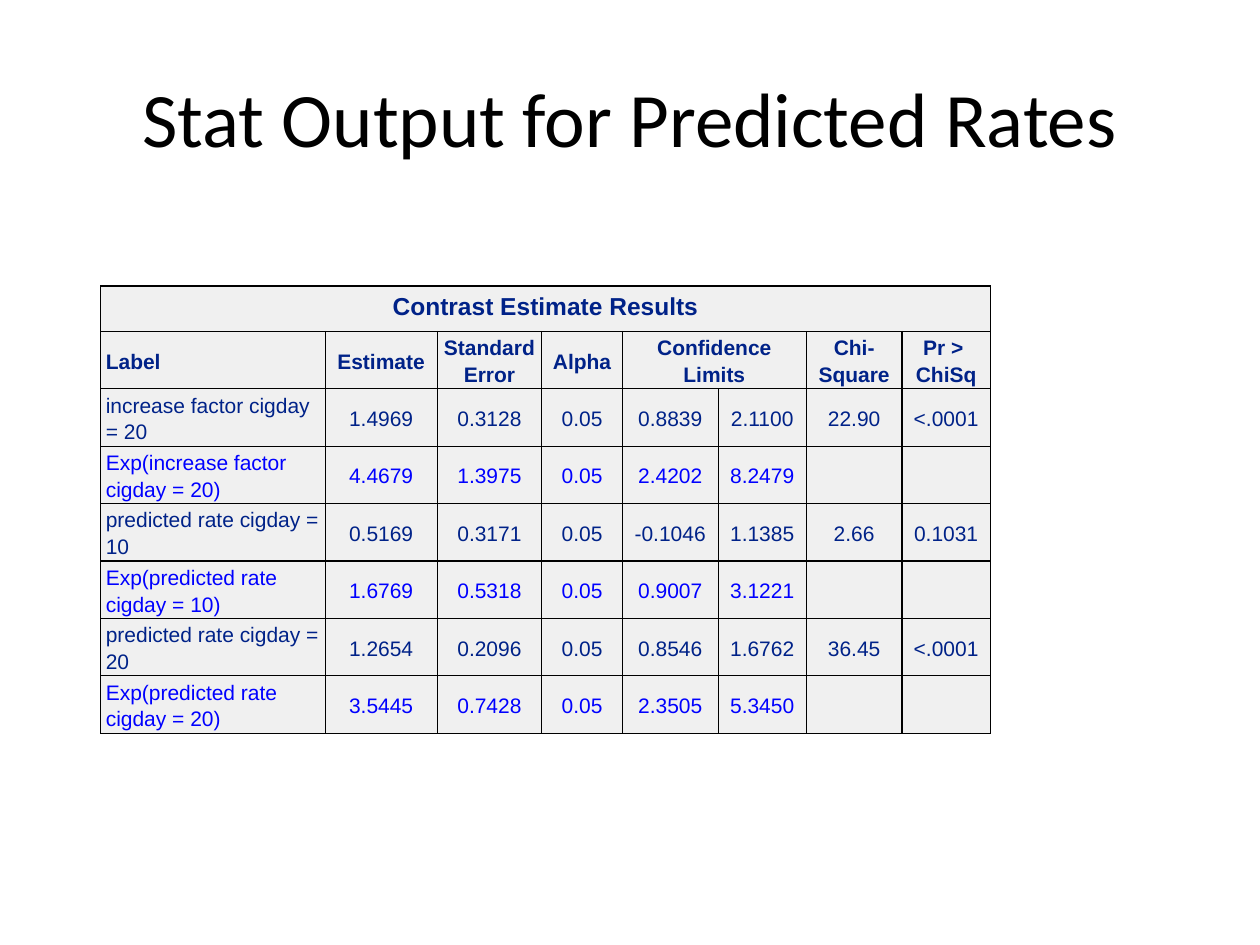
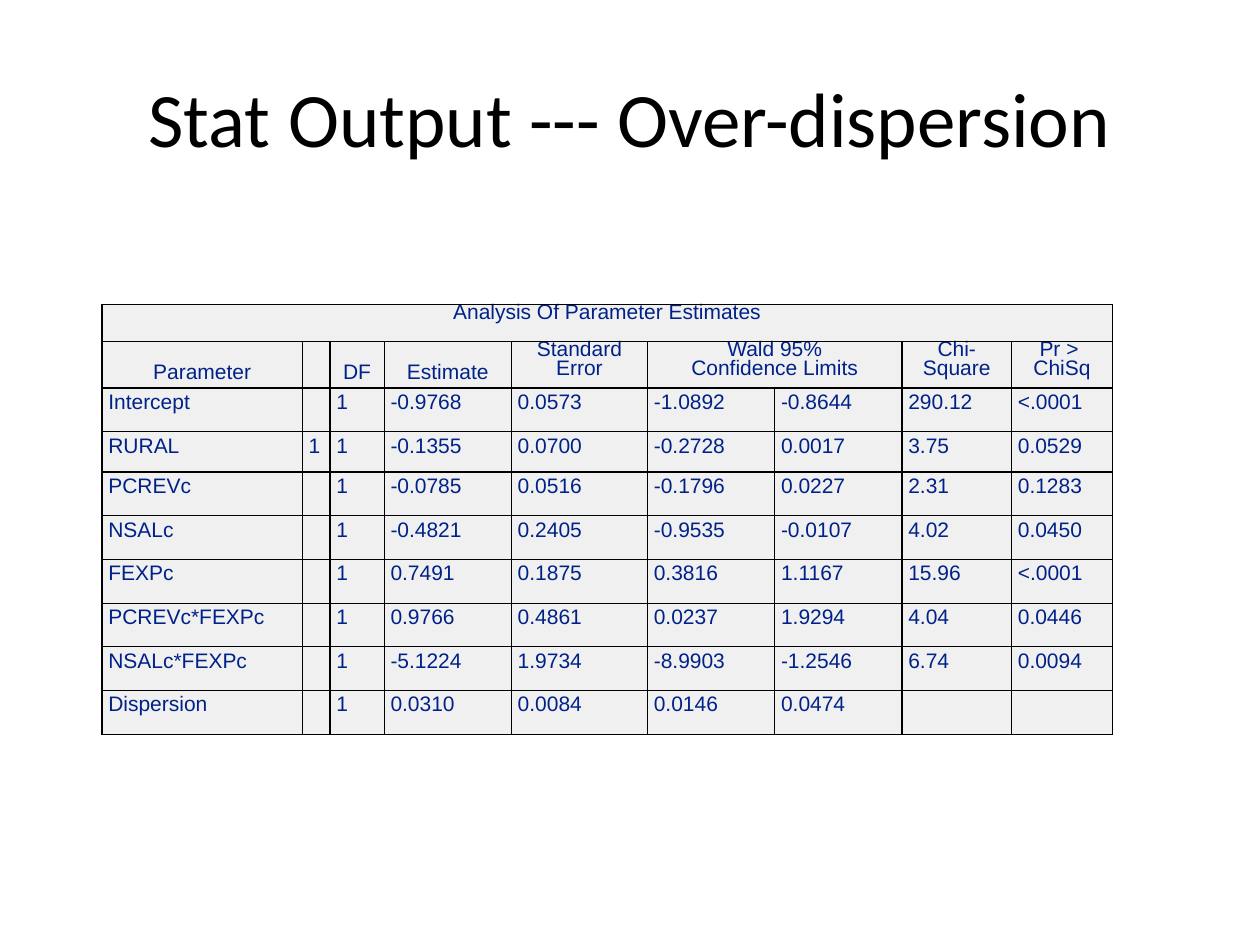
"""Builds two slides of regression results, each a title above a bordered table."""
from dataclasses import dataclass

from lxml.etree import SubElement
from pptx import Presentation
from pptx.dml.color import RGBColor
from pptx.enum.text import MSO_ANCHOR, PP_ALIGN
from pptx.oxml.ns import qn
from pptx.util import Inches, Pt


@dataclass(frozen=True)
class Theme:
    title_font: str = "Calibri"
    table_font: str = "Arial"
    title_size: int = 44
    cell_size: int = 12
    border_width: float = 0.75
    black: str = "000000"
    navy: str = "002288"
    blue: str = "0000FF"
    panel: str = "F0F0F0"


@dataclass(frozen=True)
class TableLook:
    caption_size: int
    caption_spacing: float
    line_spacing: float
    heading_bold: bool
    anchor: MSO_ANCHOR
    value_align: PP_ALIGN
    body_inset: tuple
    heading_inset: tuple = (0.04, 0)


class SlideBuilder:
    def __init__(self, deck, theme):
        self.deck = deck
        self.theme = theme
        self.unit = deck.slide_width / 100
        self.page = None

    def length(self, units):
        return round(units * self.unit)

    def style(self, paragraph, font, size, color, bold=False):
        for span in paragraph.runs:
            span.font.name = font
            span.font.size = Pt(size)
            span.font.bold = bold
            span.font.color.rgb = RGBColor.from_string(color)

    def titled_page(self, text):
        self.page = self.deck.slides.add_slide(self.deck.slide_layouts[5])
        box = self.page.shapes.title
        box.left, box.top, box.width, box.height = map(self.length, (5, 3, 90, 12.5))
        frame = box.text_frame
        frame.text = text
        frame.vertical_anchor = MSO_ANCHOR.MIDDLE
        paragraph = frame.paragraphs[0]
        paragraph.alignment = PP_ALIGN.CENTER
        self.style(paragraph, self.theme.title_font, self.theme.title_size, self.theme.black)

    def border(self, cell):
        properties = cell._tc.get_or_add_tcPr()
        for side in ("lnL", "lnR", "lnT", "lnB"):
            line = SubElement(properties, qn(f"a:{side}"), w=str(Pt(self.theme.border_width)))
            fill = SubElement(line, qn("a:solidFill"))
            SubElement(fill, qn("a:srgbClr"), val=self.theme.black)

    def cell(self, cell, text, look, inset, align, spacing, size, color, bold=False):
        self.border(cell)
        cell.fill.solid()
        cell.fill.fore_color.rgb = RGBColor.from_string(self.theme.panel)
        cell.margin_left = cell.margin_right = Inches(inset[0])
        cell.margin_top = cell.margin_bottom = Inches(inset[1])
        cell.vertical_anchor = look.anchor
        cell.text_frame.text = text
        for paragraph in cell.text_frame.paragraphs:
            paragraph.alignment = align
            paragraph.line_spacing = spacing
            self.style(paragraph, self.theme.table_font, size, color, bold)
            if not text:
                SubElement(paragraph._p, qn("a:endParaRPr"), sz=str(size * 100))

    def table(self, place, widths, fixed_heights, caption, headings, records, look):
        left, top, height = place
        rows = [[caption], headings, *records]
        shared = (height - sum(fixed_heights.values())) / (len(rows) - len(fixed_heights))
        area = map(self.length, (left, top, sum(widths), height))
        table = self.page.shapes.add_table(len(rows), len(widths), *area).table
        table.first_row = table.horz_banding = False
        for column, width in zip(table.columns, widths):
            column.width = self.length(width)
        for index, texts in enumerate(rows):
            table.rows[index].height = self.length(fixed_heights.get(index, shared))
            texts = texts + [""] * (len(widths) - len(texts))
            is_heading = index < 2
            color = self.theme.blue if texts[0].startswith("Exp(") else self.theme.navy
            for position, text in enumerate(texts):
                align = PP_ALIGN.CENTER if is_heading else look.value_align
                if position == 0 and index and look.value_align == PP_ALIGN.CENTER:
                    align = PP_ALIGN.LEFT
                self.cell(
                    table.cell(index, position), text, look,
                    look.heading_inset if is_heading else look.body_inset, align,
                    look.line_spacing if index else look.caption_spacing,
                    self.theme.cell_size if index else look.caption_size,
                    color, is_heading and look.heading_bold)
        table.cell(0, 0).merge(table.cell(0, len(widths) - 1))
        limits = next(i for i, text in enumerate(headings) if "Limits" in text)
        table.cell(1, limits).merge(table.cell(1, limits + 1))
        return table


def split_rows(text):
    return [line.split("|") for line in text.strip().splitlines()]


P_VALUE = "Pr > \nChiSq"

RATES = """
increase factor cigday = 20|1.4969|0.3128|0.05|0.8839|2.1100|22.90|<.0001
Exp(increase factor cigday = 20)|4.4679|1.3975|0.05|2.4202|8.2479
predicted rate cigday = 10|0.5169|0.3171|0.05|-0.1046|1.1385|2.66|0.1031
Exp(predicted rate cigday = 10)|1.6769|0.5318|0.05|0.9007|3.1221
predicted rate cigday = 20|1.2654|0.2096|0.05|0.8546|1.6762|36.45|<.0001
Exp(predicted rate cigday = 20)|3.5445|0.7428|0.05|2.3505|5.3450
"""

PARAMETERS = """
Intercept||1|-0.9768|0.0573|-1.0892|-0.8644|290.12|<.0001
RURAL|1|1|-0.1355|0.0700|-0.2728|0.0017|3.75|0.0529
PCREVc||1|-0.0785|0.0516|-0.1796|0.0227|2.31|0.1283
NSALc||1|-0.4821|0.2405|-0.9535|-0.0107|4.02|0.0450
FEXPc||1|0.7491|0.1875|0.3816|1.1167|15.96|<.0001
PCREVc*FEXPc||1|0.9766|0.4861|0.0237|1.9294|4.04|0.0446
NSALc*FEXPc||1|-5.1224|1.9734|-8.9903|-1.2546|6.74|0.0094
Dispersion||1|0.0310|0.0084|0.0146|0.0474
"""


def predicted_rates(builder):
    builder.titled_page("Stat Output for Predicted Rates")
    look = TableLook(14, 0.85, 1.14, True, MSO_ANCHOR.MIDDLE, PP_ALIGN.CENTER, (0.04, 0))
    builder.table(
        (8, 22.7, 35.5), [17.8, 8.9, 8.3, 6.4, 7.6, 7, 7.6, 7], {0: 3.6},
        "Contrast Estimate Results",
        ["Label", "Estimate", "Standard Error", "Alpha", "Confidence Limits", "",
         "Chi-Square", P_VALUE],
        split_rows(RATES), look)


def over_dispersion(builder):
    builder.titled_page("Stat Output --- Over-dispersion")
    look = TableLook(12, 0.8, 0.8, False, MSO_ANCHOR.TOP, PP_ALIGN.LEFT, (0.05, 0.05))
    table = builder.table(
        (8.1, 24.2, 34.1), [15.9, 2.2, 4.3, 10.1, 10.8, 10.1, 10.1, 8.7, 8],
        {0: 2.9, 1: 3.7, 3: 3.2},
        "Analysis Of Parameter Estimates",
        ["Parameter", "", "DF", "Estimate", "Standard Error",
         "Wald 95%\nConfidence Limits", "", "Chi-Square", P_VALUE],
        split_rows(PARAMETERS), look)
    for position in (0, 2, 3):
        heading = table.cell(1, position)
        heading.vertical_anchor = MSO_ANCHOR.BOTTOM
        heading.margin_bottom = Inches(0.04)


def main():
    deck = Presentation()
    deck.slide_width, deck.slide_height = Inches(10), Inches(7.5)
    builder = SlideBuilder(deck, Theme())
    predicted_rates(builder)
    over_dispersion(builder)
    deck.save("out.pptx")


if __name__ == "__main__":
    main()
